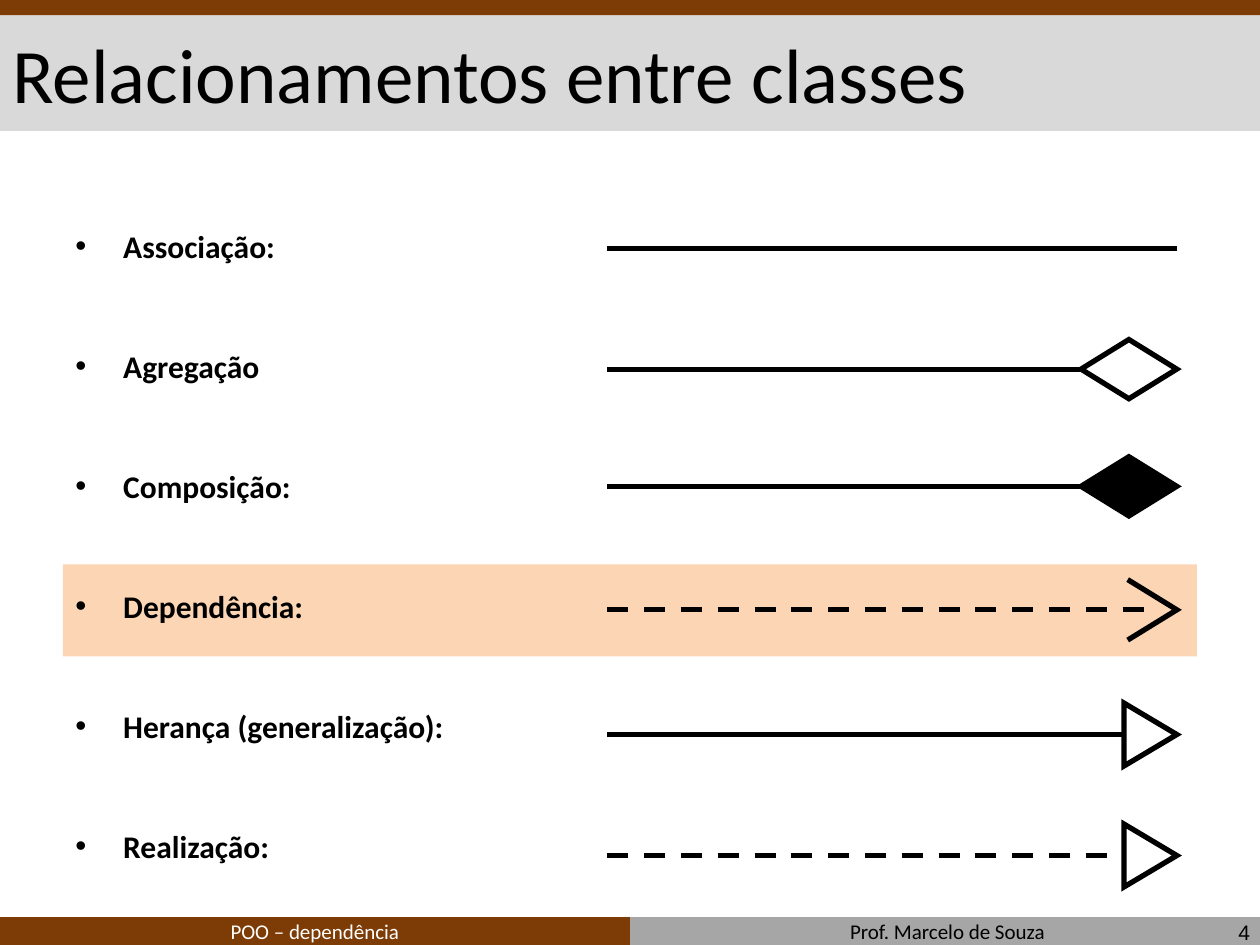
from dataclasses import dataclass

from lxml.etree import SubElement
from pptx import Presentation
from pptx.dml.color import RGBColor
from pptx.enum.dml import MSO_LINE
from pptx.enum.shapes import MSO_CONNECTOR as Connector, MSO_SHAPE as Shape
from pptx.enum.text import MSO_ANCHOR as Anchor, PP_ALIGN as Align
from pptx.oxml.ns import qn
from pptx.util import Inches, Pt


@dataclass(frozen=True)
class Theme:
    black: str = "000000"
    white: str = "FFFFFF"
    brown: str = "7D3B05"
    gray: str = "A6A6A6"
    title_band: str = "D9D9D9"
    highlight: str = "FCD5B5"
    font: str = "Calibri"
    number_font: str = "Arial"
    title_size: int = 44
    body_size: int = 18
    footer_size: int = 12
    line_width: int = 3


THEME = Theme()
LINE_START, LINE_END = 4.82, 9.34
DIAMOND_SIZE = (0.76, 0.47)
TRIANGLE_SIZE = (0.5, 0.42)  # before the quarter turn
CHEVRON_SIZE = (0.39, 0.48)

# label, height of the line, dashed, kind of head
RELATIONSHIPS = [
    ("Associação:", 1.97, False, None),
    ("Agregação", 2.93, False, "open diamond"),
    ("Composição:", 3.86, False, "filled diamond"),
    ("Dependência:", 4.84, True, "chevron"),
    ("Herança (generalização):", 5.83, False, "triangle"),
    ("Realização:", 6.79, True, "triangle"),
]


def color(value):
    return RGBColor.from_string(value)


def add_band(slide, left, top, width, height, fill):
    band = slide.shapes.add_shape(
        Shape.RECTANGLE, Inches(left), Inches(top), Inches(width), Inches(height))
    band.shadow.inherit = False
    band.fill.solid()
    band.fill.fore_color.rgb = color(fill)
    band.line.fill.background()


def add_text(slide, lines, left, top, width, height, *, size, fill=THEME.black,
             font=THEME.font, bold=False, align=Align.LEFT, anchor=Anchor.TOP,
             bullet_indent=None, gap=0):
    """Add a text box with one paragraph per line, gap points apart."""
    box = slide.shapes.add_textbox(
        Inches(left), Inches(top), Inches(width), Inches(height))
    frame = box.text_frame
    frame.word_wrap = True
    frame.vertical_anchor = anchor
    for index, line in enumerate(lines):
        paragraph = frame.add_paragraph() if index else frame.paragraphs[0]
        paragraph.alignment = align
        paragraph.space_after = Pt(gap)
        run = paragraph.add_run()
        run.text = line
        run.font.name = font
        run.font.size = Pt(size)
        run.font.bold = bold
        run.font.color.rgb = color(fill)
        if bullet_indent:
            add_bullet(paragraph, bullet_indent)


def add_bullet(paragraph, indent):
    properties = paragraph._p.get_or_add_pPr()
    properties.set("marL", str(Inches(indent)))
    properties.set("indent", str(-Inches(indent)))
    SubElement(properties, qn("a:buFont"), typeface="Arial")
    SubElement(properties, qn("a:buChar"), char="•")


def style_line(line):
    line.color.rgb = color(THEME.black)
    line.width = Pt(THEME.line_width)


def add_line(slide, y, end, dashed):
    connector = slide.shapes.add_connector(
        Connector.STRAIGHT, Inches(LINE_START), Inches(y), Inches(end), Inches(y))
    style_line(connector.line)
    if dashed:
        connector.line.dash_style = MSO_LINE.DASH
    SubElement(connector._element.spPr, qn("a:effectLst"))


def outline_head(shape, fill=None):
    """Give a head sharp black edges and, when named, a fill."""
    shape.shadow.inherit = False
    if fill:
        shape.fill.solid()
        shape.fill.fore_color.rgb = color(fill)
    else:
        shape.fill.background()
    style_line(shape.line)
    SubElement(shape.line._get_or_add_ln(), qn("a:miter"), lim="800000")


def add_diamond(slide, y, fill):
    width, height = DIAMOND_SIZE
    diamond = slide.shapes.add_shape(
        Shape.DIAMOND, Inches(LINE_END - width), Inches(y - height / 2),
        Inches(width), Inches(height))
    outline_head(diamond, fill)


def add_triangle(slide, y):
    """Add a triangle turned to the right, with its tip at the line end."""
    width, height = TRIANGLE_SIZE
    triangle = slide.shapes.add_shape(
        Shape.ISOSCELES_TRIANGLE, Inches(LINE_END - (width + height) / 2),
        Inches(y - height / 2), Inches(width), Inches(height))
    triangle.rotation = 90
    outline_head(triangle, THEME.white)


def add_chevron(slide, y):
    width, height = CHEVRON_SIZE
    back = Inches(LINE_END - width)
    builder = slide.shapes.build_freeform(back, Inches(y - height / 2))
    builder.add_line_segments(
        [(Inches(LINE_END), Inches(y)), (back, Inches(y + height / 2))], close=False)
    outline_head(builder.convert_to_shape())


def add_relationship(slide, y, dashed, head):
    add_line(slide, y, 9.14 if head == "chevron" else LINE_END, dashed)
    if head == "open diamond":
        add_diamond(slide, y, THEME.white)
    elif head == "filled diamond":
        add_diamond(slide, y, THEME.black)
    elif head == "chevron":
        add_chevron(slide, y)
    elif head == "triangle":
        add_triangle(slide, y)


def add_frame(slide):
    """Add the title and the footer with their bands."""
    add_band(slide, 5, 7.28, 5, 0.24, THEME.gray)
    add_band(slide, 0, 7.28, 5, 0.24, THEME.brown)
    add_band(slide, 0, 0.11, 10, 0.93, THEME.title_band)
    add_band(slide, 0, 0, 10, 0.12, THEME.brown)
    add_text(slide, ["Relacionamentos entre classes"], 0, 0.12, 10, 0.91,
             size=THEME.title_size, anchor=Anchor.MIDDLE)
    footer = dict(size=THEME.footer_size, align=Align.CENTER, anchor=Anchor.BOTTOM)
    add_text(slide, ["POO – dependência"], 0, 7.24, 5, 0.3, fill=THEME.white, **footer)
    add_text(slide, ["Prof. Marcelo de Souza"], 5.01, 7.24, 5.02, 0.3, **footer)
    add_text(slide, ["4"], 7.69, 7.23, 2.33, 0.33, size=THEME.footer_size,
             font=THEME.number_font, align=Align.RIGHT, anchor=Anchor.MIDDLE)


def main():
    presentation = Presentation()
    presentation.slide_width, presentation.slide_height = Inches(10), Inches(7.5)
    slide = presentation.slides.add_slide(presentation.slide_layouts[6])
    add_frame(slide)
    add_band(slide, 0.5, 4.48, 9, 0.73, THEME.highlight)
    add_text(slide, [label for label, *_ in RELATIONSHIPS], 0.5, 1.75, 9, 5.25,
             size=THEME.body_size, bold=True, align=Align.JUSTIFY,
             bullet_indent=0.38, gap=47)
    for _, y, dashed, head in RELATIONSHIPS:
        add_relationship(slide, y, dashed, head)
    presentation.save("out.pptx")


if __name__ == "__main__":
    main()
